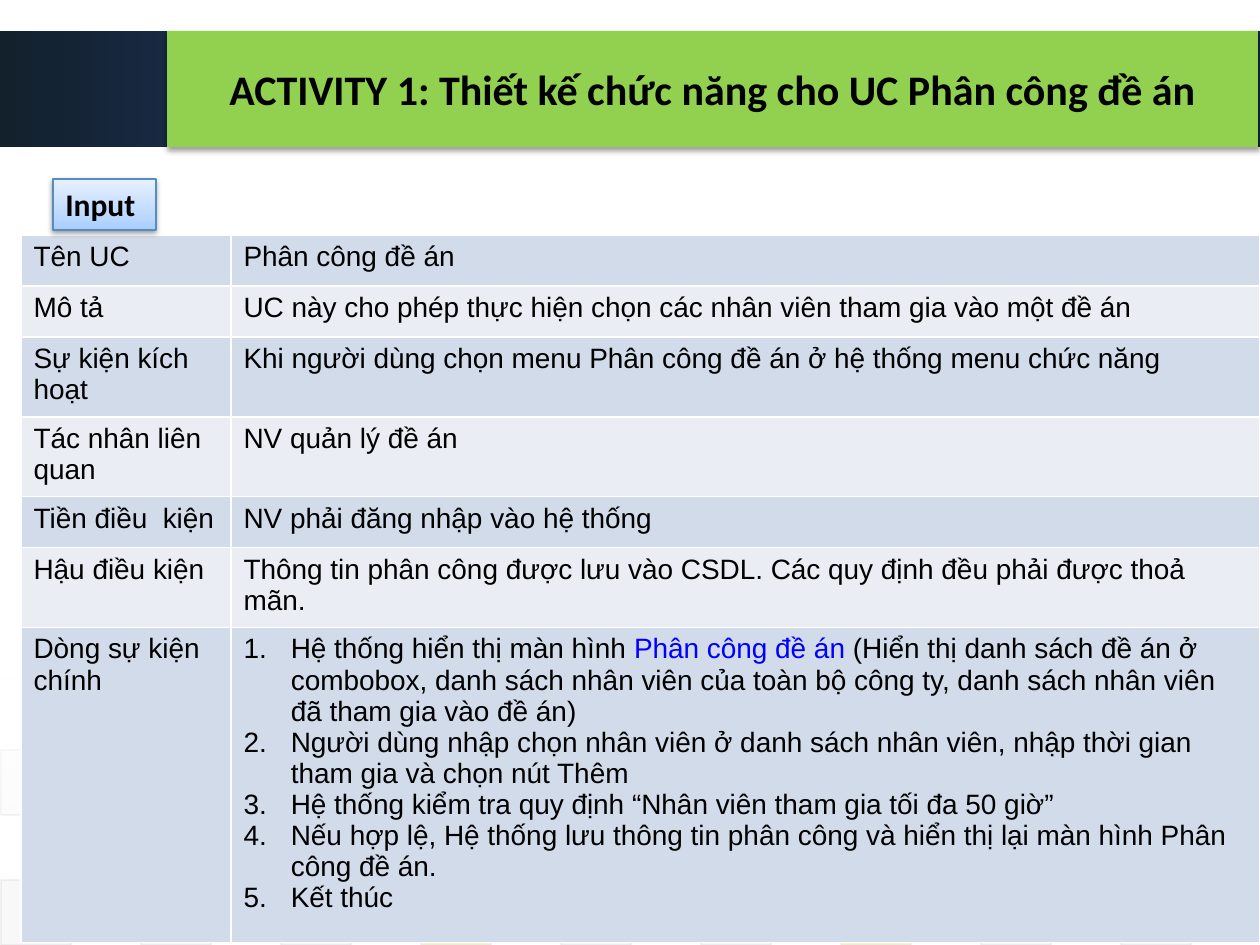
from lxml import etree
from pptx import Presentation
from pptx.dml.color import RGBColor
from pptx.enum.shapes import MSO_SHAPE
from pptx.enum.text import MSO_ANCHOR, PP_ALIGN
from pptx.oxml import parse_xml
from pptx.oxml.ns import nsdecls, qn
from pptx.util import Emu, Pt

RECT = MSO_SHAPE.RECTANGLE
TOP, MIDDLE = MSO_ANCHOR.TOP, MSO_ANCHOR.MIDDLE
LEFT, CENTER, RIGHT = PP_ALIGN.LEFT, PP_ALIGN.CENTER, PP_ALIGN.RIGHT
PX = 914400 / 126  # EMU in one px

THEME = {
    "head": "Calibri", "body": "Arial",
    "title": 24, "label": 18, "cell": 16, "page": 12,
    "ink": "000000", "link": "0000FF", "green": "92D050",
    "bands": ["D2DBE9", "EAEEF4"],
    "tiles": {"D": "DDDDDD", "E": "EAEAEA", "G": "8AC246", "Y": "EFC821"},
    "edge": "DDDDDD", "rim": "558DC0",
    # gradient stops: place, colour, opacity
    "navy": [(0, "13212C", 100), (15, "182A45", 100), (100, "182A45", 100)],
    "veil": [(0, "FFFFFF", 90), (100, "FFFFFF", 0)],
    "sky": [(0, "A8CDFF", 100), (35, "C1DBFF", 100), (100, "E7F1FF", 100)],
}


def box(x, y, w, h, stops, angle=0, line=None, clear=100, shadow=False):
    """Draw a rectangle; one stop gives a plain fill, more give a gradient."""
    shape = slide.shapes.add_shape(RECT, *[Emu(round(n * PX)) for n in (x, y, w, h)])
    inks = [f'<a:srgbClr val="{c}"><a:alpha val="{a * 1000}"/></a:srgbClr>'
            for _, c, a in stops]
    if len(stops) == 1:
        xml = f'<a:solidFill {nsdecls("a")}>{inks[0]}</a:solidFill>'
    else:
        marks = "".join(f'<a:gs pos="{s[0] * 1000}">{ink}</a:gs>'
                        for s, ink in zip(stops, inks))
        xml = (f'<a:gradFill {nsdecls("a")} rotWithShape="1"><a:gsLst>{marks}</a:gsLst>'
               f'<a:lin ang="{angle * 60000}" scaled="0"/></a:gradFill>')
    props = shape._element.spPr
    props.append(parse_xml(xml))
    if line:
        shape.line.width = Pt(0.75)
        shape.line.color.rgb = RGBColor.from_string(line)
        ink = props.find(".//" + qn("a:ln") + "//" + qn("a:srgbClr"))
        etree.SubElement(ink, qn("a:alpha"), val=str(clear * 1000))
    else:
        shape.line.fill.background()
    shape.shadow.inherit = False
    if shadow:
        props.find(qn("a:effectLst")).append(parse_xml(
            f'<a:outerShdw {nsdecls("a")} blurRad="39370" dist="20320" dir="5400000" '
            'rotWithShape="0"><a:srgbClr val="000000"><a:alpha val="38000"/>'
            '</a:srgbClr></a:outerShdw>'))
    return shape


def write(frame, paras, size, font, bold=False, align=LEFT, wrap=True,
          anchor=TOP, listed=False):
    """Fill a text frame; each paragraph is a list of (text, colour) runs."""
    frame.word_wrap = wrap
    frame.vertical_anchor = anchor
    for i, runs in enumerate(paras):
        para = frame.paragraphs[0] if i == 0 else frame.add_paragraph()
        para.alignment = align
        if listed:
            props = para._p.get_or_add_pPr()
            props.set("marL", "342900")
            props.set("indent", "-342900")
            etree.SubElement(props, qn("a:buFont"), typeface="+mj-lt")
            etree.SubElement(props, qn("a:buAutoNum"), type="arabicPeriod")
        for text, ink in runs:
            run = para.add_run()
            run.text = text
            run.font.size = Pt(size)
            run.font.name = font
            run.font.bold = bold
            run.font.color.rgb = RGBColor.from_string(ink)


deck = Presentation()
deck.slide_width, deck.slide_height = Emu(round(1260 * PX)), Emu(round(945 * PX))
slide = deck.slides.add_slide(deck.slide_layouts[6])
INK = THEME["ink"]

# Header band
box(0, 31, 1260, 116, THEME["navy"])

# Checkered tiles, fading upwards under a white veil
TILES = [("YEEYDYEGE", 5), ("DDDDGDDDY", 10), ("DGDDDDGDD", 20), ("DDDYDDYDD", 20)]
for row, (keys, alpha) in enumerate(TILES):
    shift = 70 if row % 2 == 0 else 0
    for col, key in enumerate(keys):
        box(1 + shift + col * 140, 685 + row * 65, 70, 65,
            [(0, THEME["tiles"][key], alpha)], line=THEME["edge"], clear=60)
box(0, 677, 1260, 204, THEME["veil"], angle=90)

# Page number
page = slide.shapes.add_textbox(*[Emu(round(n * PX)) for n in (903, 891, 294, 42)])
write(page.text_frame, [[("85", INK)]], THEME["page"], THEME["head"], align=RIGHT)

# Use case table: name, text, row height
ROWS = [
    ("Tên UC", "Phân công đề án", 51),
    ("Mô tả", "UC này cho phép thực hiện chọn các nhân viên tham gia vào một đề án", 51),
    ("Sự kiện kích hoạt",
     "Khi người dùng chọn menu Phân công đề án ở hệ thống menu chức năng", 75),
    ("Tác nhân liên quan", "NV quản lý đề án", 75),
    ("Tiền điều  kiện", "NV phải đăng nhập vào hệ thống", 51),
    ("Hậu điều kiện",
     "Thông tin phân công được lưu vào CSDL. Các quy định đều phải được thoả mãn.", 75),
    ("Dòng sự kiện chính", None, 292),
]
STEPS = [
    [("Hệ thống hiển thị màn hình ", INK), ("Phân công đề án ", THEME["link"]),
     ("(Hiển thị danh sách đề án ở combobox, danh sách nhân viên của toàn bộ công ty, "
      "danh sách nhân viên đã tham gia vào đề án)", INK)],
    [("Người dùng nhập chọn nhân viên ở danh sách nhân viên, "
      "nhập thời gian tham gia và chọn nút Thêm", INK)],
    [("Hệ thống kiểm tra quy định “Nhân viên tham gia tối đa 50 giờ”", INK)],
    [("Nếu hợp lệ, Hệ thống lưu thông tin phân công và hiển thị lại màn hình "
      "Phân công đề án.", INK)],
    [("Kết thúc", INK)],
]
high = sum(tall for _, _, tall in ROWS)
grid = slide.shapes.add_table(
    len(ROWS), 2, *[Emu(round(n * PX)) for n in (21, 235, 1239, high)]).table
grid.first_row = grid.horz_banding = False
for col, wide in zip(grid.columns, (210, 1029)):
    col.width = Emu(round(wide * PX))
for i, (name, text, tall) in enumerate(ROWS):
    grid.rows[i].height = Emu(round(tall * PX))
    for j, paras in enumerate(([[(name, INK)]], [[(text, INK)]] if text else STEPS)):
        cell = grid.cell(i, j)
        cell.fill.solid()
        cell.fill.fore_color.rgb = RGBColor.from_string(THEME["bands"][i % 2])
        write(cell.text_frame, paras, THEME["cell"], THEME["body"],
              listed=paras is STEPS)

# Title
title = box(167, 31, 1091, 116, [(0, THEME["green"], 100)], shadow=True)
write(title.text_frame, [[("ACTIVITY 1: Thiết kế chức năng cho UC Phân công đề án", INK)]],
      THEME["title"], THEME["head"], bold=True, align=CENTER, anchor=MIDDLE)

# Input label
label = box(53, 179, 103, 51, THEME["sky"], angle=270, line=THEME["rim"], shadow=True)
write(label.text_frame, [[("Input", INK)]], THEME["label"], THEME["head"],
      bold=True, wrap=False)

deck.save("out.pptx")
